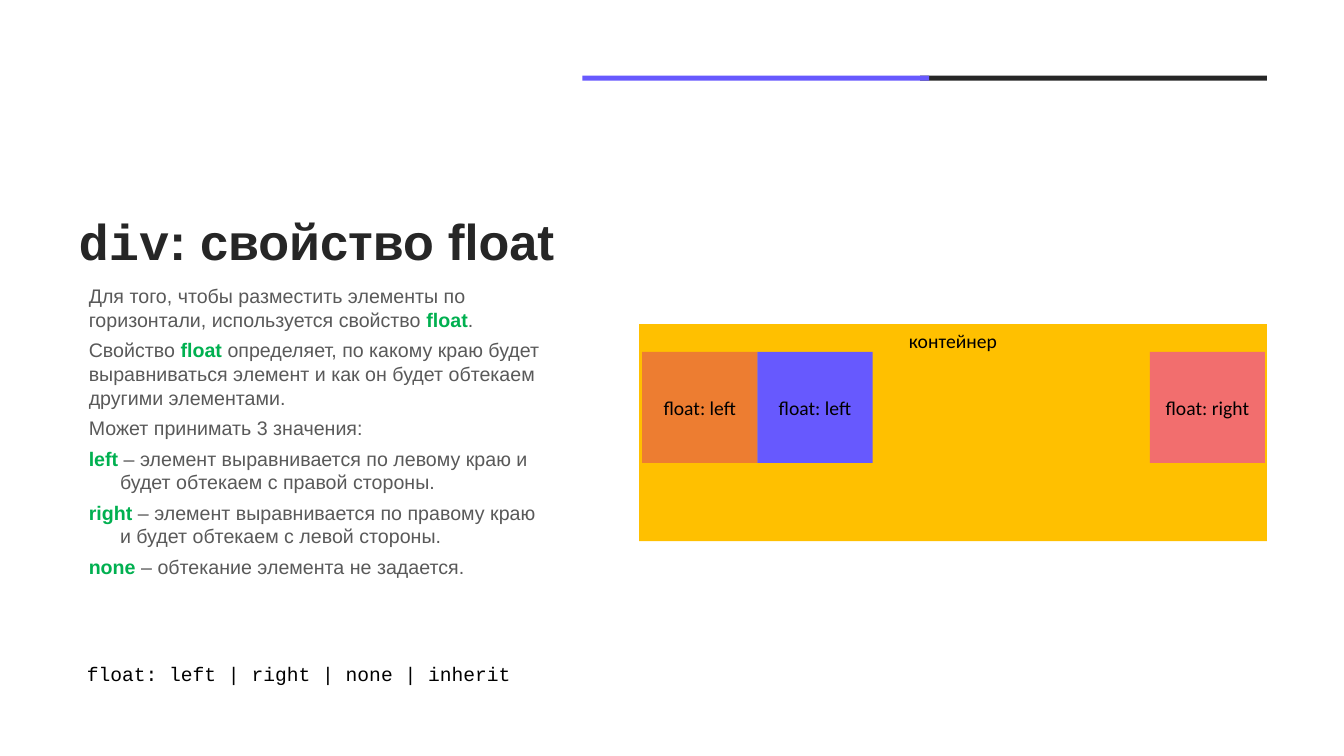
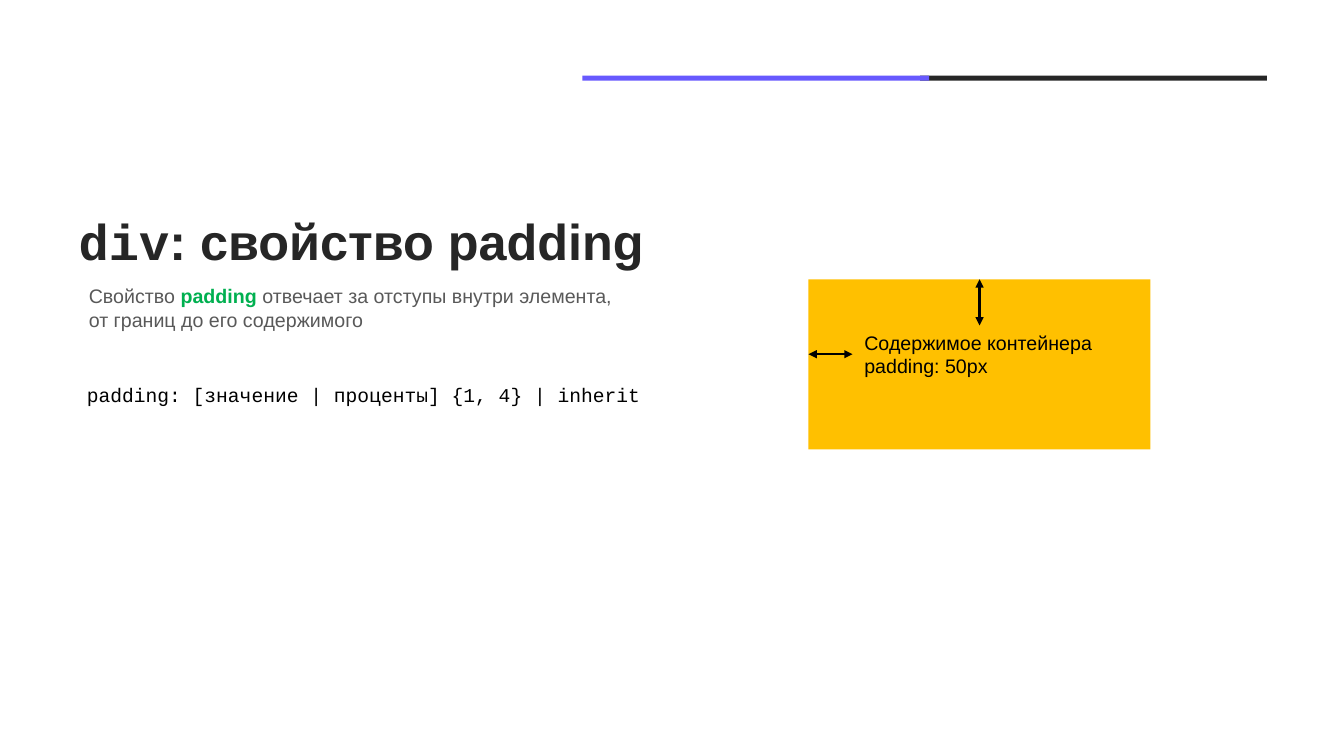
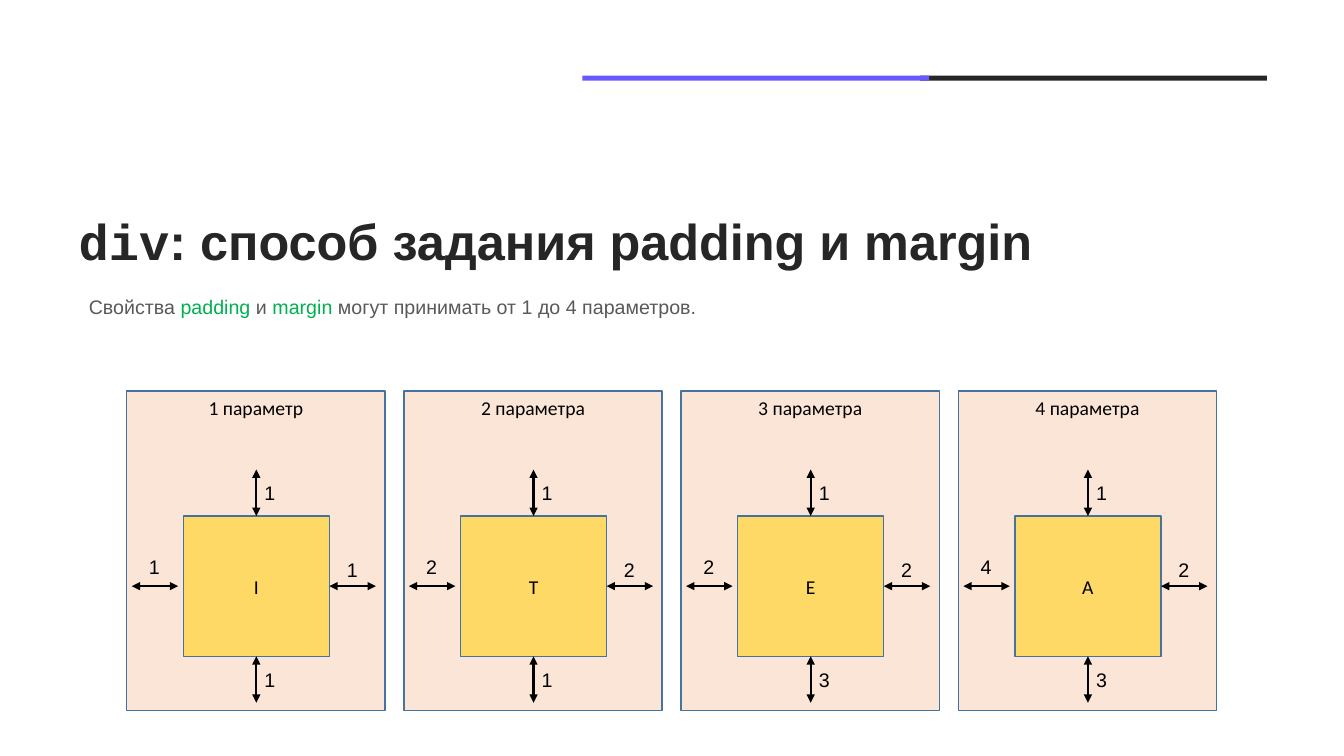
from lxml.etree import SubElement
from pptx import Presentation
from pptx.dml.color import RGBColor
from pptx.enum.shapes import MSO_CONNECTOR, MSO_SHAPE
from pptx.enum.text import MSO_ANCHOR as ANCHOR, MSO_AUTO_SIZE as AUTO, PP_ALIGN as ALIGN
from pptx.oxml.ns import qn
from pptx.util import Pt

BLACK, DARK, GREY = "000000", "262626", "595959"
GREEN, VIOLET, AMBER = "00B050", "6759FE", "FFC000"
ORANGE, CORAL = "ED7D31", "F26E6E"
PEACH, YELLOW, STEEL = "FBE5D6", "FFD966", "43739E"
SANS, MONO, LABEL = "Arial", "Courier New", "Calibri"
LEFT, CONTENT_WIDTH = 49, 856


def rgb(value):
    return RGBColor.from_string(value)


def add_run(p, text, color=BLACK, **fmt):
    r = p.add_run()
    r.text = text
    r.font.color.rgb = rgb(color)
    for name, value in ({"name": SANS, "size": Pt(14)} | fmt).items():
        setattr(r.font, name, value)


def place(shape, x, y, w, h):
    for name, value in zip(("left", "top", "width", "height"), (x, y, w, h)):
        setattr(shape, name, Pt(value))


def add_rect(shapes, x, y, w, h, fill, text="", line=None, anchor=ANCHOR.MIDDLE):
    sp = shapes.add_shape(MSO_SHAPE.RECTANGLE, Pt(x), Pt(y), Pt(w), Pt(h))
    sp.shadow.inherit = False
    sp.fill.solid()
    sp.fill.fore_color.rgb = rgb(fill)
    if line:
        sp.line.color.rgb = rgb(line)
        sp.line.width = Pt(1)
    else:
        sp.line.fill.background()
    if text:
        tf = sp.text_frame
        tf.word_wrap = True
        tf.vertical_anchor = anchor
        p = tf.paragraphs[0]
        p.alignment = ALIGN.CENTER
        add_run(p, text, name=LABEL)


def add_text(shapes, x, y, w, lines, font=SANS):
    """Add an unwrapped text box with one paragraph per line."""
    sp = shapes.add_textbox(Pt(x), Pt(y), Pt(w), Pt(7.5 + 17 * len(lines)))
    tf = sp.text_frame
    tf.word_wrap = False
    tf.auto_size = AUTO.SHAPE_TO_FIT_TEXT
    for i, line in enumerate(lines):
        p = tf.add_paragraph() if i else tf.paragraphs[0]
        add_run(p, line, name=font)


def add_arrow(shapes, x1, y1, x2, y2):
    """Add a line with an arrowhead at both ends."""
    c = shapes.add_connector(MSO_CONNECTOR.STRAIGHT, Pt(x1), Pt(y1), Pt(x2), Pt(y2))
    c.line.color.rgb = rgb(BLACK)
    c.line.width = Pt(1.5)
    props = c._element.spPr
    for end in ("a:headEnd", "a:tailEnd"):
        SubElement(props.find(qn("a:ln")), qn(end), type="triangle")
    SubElement(props, qn("a:effectLst"))


def add_slide(prs, title):
    s = prs.slides.add_slide(prs.slide_layouts[1])
    place(s.shapes.title, LEFT, 149, CONTENT_WIDTH, 51)
    tf = s.shapes.title.text_frame
    tf.auto_size = AUTO.NONE
    tf.vertical_anchor = ANCHOR.MIDDLE
    p = tf.paragraphs[0]
    p.alignment = ALIGN.LEFT
    p.line_spacing = 0.9
    for text, font in (("div", MONO), (": " + title, SANS)):
        add_run(p, text, DARK, name=font, size=Pt(36), bold=True)
    for x, color in ((657.3, DARK), (416, VIOLET)):
        add_rect(s.shapes, x, 54, 247.7, 3.6, color)
    return s


def fill_body(s, y, w, h, paragraphs, hanging=(), bold=True):
    """Fill the body placeholder; words between asterisks are highlighted."""
    body = s.placeholders[1]
    place(body, LEFT, y, w, h)
    tf = body.text_frame
    tf.auto_size = AUTO.SHAPE_TO_FIT_TEXT
    for i, text in enumerate([*paragraphs, *hanging]):
        p = tf.add_paragraph() if i else tf.paragraphs[0]
        p.space_before = Pt(5)
        margin, indent = (29.5, -22.3) if i >= len(paragraphs) else (7.2, 0)
        props = p._p.get_or_add_pPr()
        props.set("marL", str(Pt(margin)))
        props.set("indent", str(Pt(indent)))
        SubElement(props, qn("a:buNone"))
        for j, part in enumerate(text.split("*")):
            marked = j % 2 == 1
            if part:
                add_run(p, part, GREEN if marked else GREY, bold=marked and bold)


def float_slide(prs):
    s = add_slide(prs, "свойство float")
    fill_body(s, 199.5, 349, 219, [
        "Для того, чтобы разместить элементы по горизонтали, используется свойство *float*.",
        "Свойство *float *определяет, по какому краю будет выравниваться элемент "
        "и как он будет обтекаем другими элементами.",
        "Может принимать 3 значения:",
    ], hanging=[
        "*left *– элемент выравнивается по левому краю и будет обтекаем с правой стороны.",
        "*right *– элемент выравнивается по правому краю и будет обтекаем с левой стороны.",
        "*none *– обтекание элемента не задается.",
    ])
    add_rect(s.shapes, 456.5, 231.5, 448.5, 155, AMBER, "контейнер", anchor=ANCHOR.TOP)
    for x, color, side in ((458.7, ORANGE, "left"), (541, VIOLET, "left"), (821.3, CORAL, "right")):
        add_rect(s.shapes, x, 251.3, 82.3, 79.3, color, "float: " + side)
    add_text(s.shapes, 54.9, 469.5, 319, ["float: left | right | none | inherit"], MONO)


def padding_slide(prs):
    s = add_slide(prs, "свойство padding")
    fill_body(s, 199.5, 408, 41, [
        "Свойство *padding* отвечает за отступы внутри элемента, от границ до его содержимого"])
    x, y = 577.5, 199.5
    add_rect(s.shapes, x, y, 244.3, 121.5, AMBER)
    add_text(s.shapes, 54.9, 270, 412, ["padding: [значение | проценты] {1, 4} | inherit"], MONO)
    add_text(s.shapes, 610.3, 232.5, 178.5, ["Содержимое контейнера", "padding: 50px"])
    add_arrow(s.shapes, x, 253, x + 31.5, 253)
    add_arrow(s.shapes, 699.7, y, 699.7, y + 33)


def add_box_model(shapes, x, caption, letter, top, right, bottom, left):
    """Draw one panel: a box inside a frame with a numbered arrow on each side."""
    frame_y, arrow = 279.3, 33.2
    box_x, box_y, box_w, box_h = x + 40.4, 368.6, 104.4, 100.2
    mid_x, mid_y = box_x + box_w / 2, box_y + box_h / 2
    right_x, bottom_y, left_x = box_x + box_w, box_y + box_h, box_x - 3.6
    add_rect(shapes, x, frame_y, 184.5, 228.3, PEACH, caption, STEEL, ANCHOR.TOP)
    add_rect(shapes, box_x, box_y, box_w, box_h, YELLOW, letter, STEEL)
    add_arrow(shapes, left_x - arrow, mid_y, left_x, mid_y)
    add_arrow(shapes, right_x, mid_y, right_x + arrow, mid_y)
    for y in (box_y - arrow, bottom_y):
        add_arrow(shapes, mid_x, y, mid_x, y + arrow)
    for value, label_x, label_y in (
            (top, mid_x - 1.3, box_y - 28.8), (bottom, mid_x - 1.3, bottom_y + 5),
            (right, right_x + 5.3, mid_y - 23.5), (left, left_x - 28, mid_y - 25.5)):
        add_text(shapes, label_x, label_y, 22.3, [str(value)])


def parameters_slide(prs):
    s = add_slide(prs, "способ задания padding и margin")
    fill_body(s, 207, CONTENT_WIDTH, 24.5, [
        "Свойства *padding* и *margin* могут принимать от 1 до 4 параметров."], bold=False)
    panels = (
        ("1 параметр", "I", 1, 1, 1, 1),
        ("2 параметра", "T", 1, 2, 1, 2),
        ("3 параметра", "E", 1, 2, 3, 2),
        ("4 параметра", "A", 1, 2, 3, 4),
    )
    for i, panel in enumerate(panels):
        add_box_model(s.shapes.add_group_shape().shapes, 90.5 + 198 * i, *panel)


def main():
    prs = Presentation()
    prs.slide_width, prs.slide_height = Pt(960), Pt(540)
    float_slide(prs)
    padding_slide(prs)
    parameters_slide(prs)
    prs.save("out.pptx")


if __name__ == "__main__":
    main()
